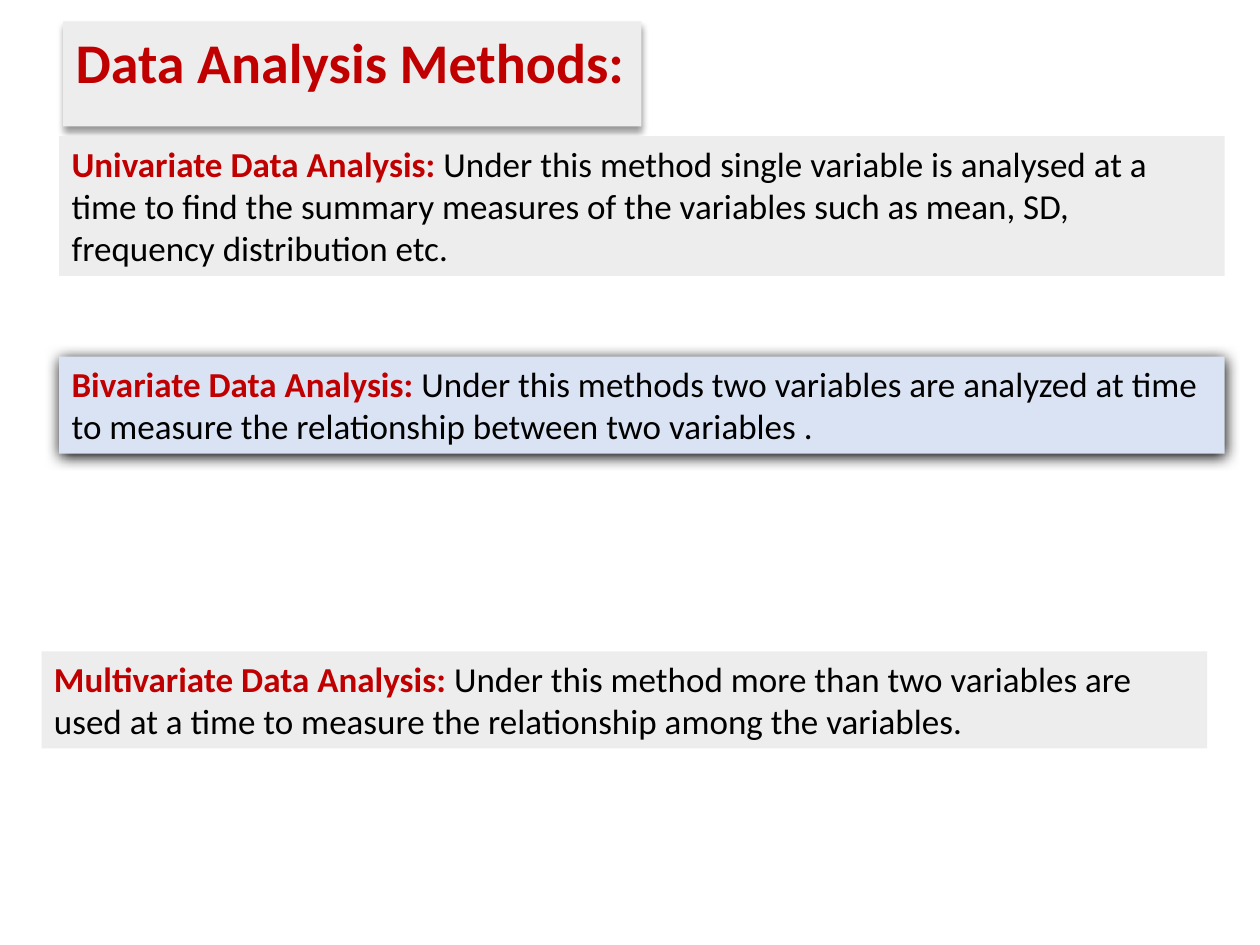
from lxml import etree
from pptx import Presentation
from pptx import util as u
from pptx.dml.color import RGBColor
from pptx.enum import text
from pptx.oxml.ns import qn

RED = RGBColor(0xC0, 0x00, 0x00)
BLACK = RGBColor(0x00, 0x00, 0x00)
GREY = RGBColor(0xED, 0xED, 0xED)
BLUE = RGBColor(0xDA, 0xE3, 0xF3)
FONT = "Calibri"

TITLE = "Data Analysis Methods:"
TITLE_SHADOW = (40, 4, 3)  # opacity %, blur pt, distance pt
BOX_SHADOW = (100, 8.5, 1)
BOX_WIDTH = 9.25

# term, definition, left, top, height, fill, shadow
METHODS = [
    ("Univariate Data Analysis: ",
     "Under this method single variable is analysed at a time to find the summary "
     "measures of the variables such as mean, SD, frequency distribution etc.",
     0.47, 1.08, 1.11, GREY, None),
    ("Bivariate Data Analysis: ",
     "Under this methods two variables are analyzed at time to measure the "
     "relationship between two variables .",
     0.47, 2.83, 0.77, BLUE, BOX_SHADOW),
    ("Multivariate Data Analysis: ",
     "Under this method more than two variables are used at a time to measure the "
     "relationship among the variables.",
     0.33, 5.17, 0.77, GREY, None),
]


def add_shadow(sp, opacity, blur, distance):
    """Add a black outer shadow that falls straight down."""
    effects = etree.SubElement(sp.element.spPr, qn("a:effectLst"))
    shadow = etree.SubElement(
        effects, qn("a:outerShdw"), blurRad=str(u.Pt(blur)), dist=str(u.Pt(distance)),
        dir="5400000", algn="ctr", rotWithShape="0")
    color = etree.SubElement(shadow, qn("a:srgbClr"), val=str(BLACK))
    etree.SubElement(color, qn("a:alpha"), val=str(opacity * 1000))


def fill_box(sp, runs, size, fill, shadow, wrap):
    """Style a box and write its (text, colour, bold) runs."""
    sp.fill.solid()
    sp.fill.fore_color.rgb = fill
    sp.line.fill.background()
    if shadow:
        add_shadow(sp, *shadow)
    tf = sp.text_frame
    tf.word_wrap = wrap
    tf.auto_size = text.MSO_AUTO_SIZE.SHAPE_TO_FIT_TEXT
    tf.vertical_anchor = text.MSO_ANCHOR.TOP
    p = tf.paragraphs[0]
    p.alignment = text.PP_ALIGN.LEFT
    for content, color, bold in runs:
        r = p.add_run()
        r.text = content
        r.font.name = FONT
        r.font.size = u.Pt(size)
        r.font.bold = bold
        r.font.color.rgb = color


def main():
    prs = Presentation()
    prs.slide_width, prs.slide_height = u.Inches(10), u.Inches(7.5)
    s = prs.slides.add_slide(prs.slide_layouts[5])

    title = s.shapes.title
    title.left, title.top = u.Inches(0.5), u.Inches(0.17)
    title.width, title.height = u.Inches(4.59), u.Inches(0.64)
    fill_box(title, [(TITLE, RED, True)], 32, GREY, TITLE_SHADOW, wrap=False)

    for term, definition, left, top, height, fill, shadow in METHODS:
        sp = s.shapes.add_textbox(*map(u.Inches, (left, top, BOX_WIDTH, height)))
        runs = [(term, RED, True), (definition, BLACK, False)]
        fill_box(sp, runs, 20, fill, shadow, wrap=True)

    prs.save("out.pptx")


if __name__ == "__main__":
    main()
